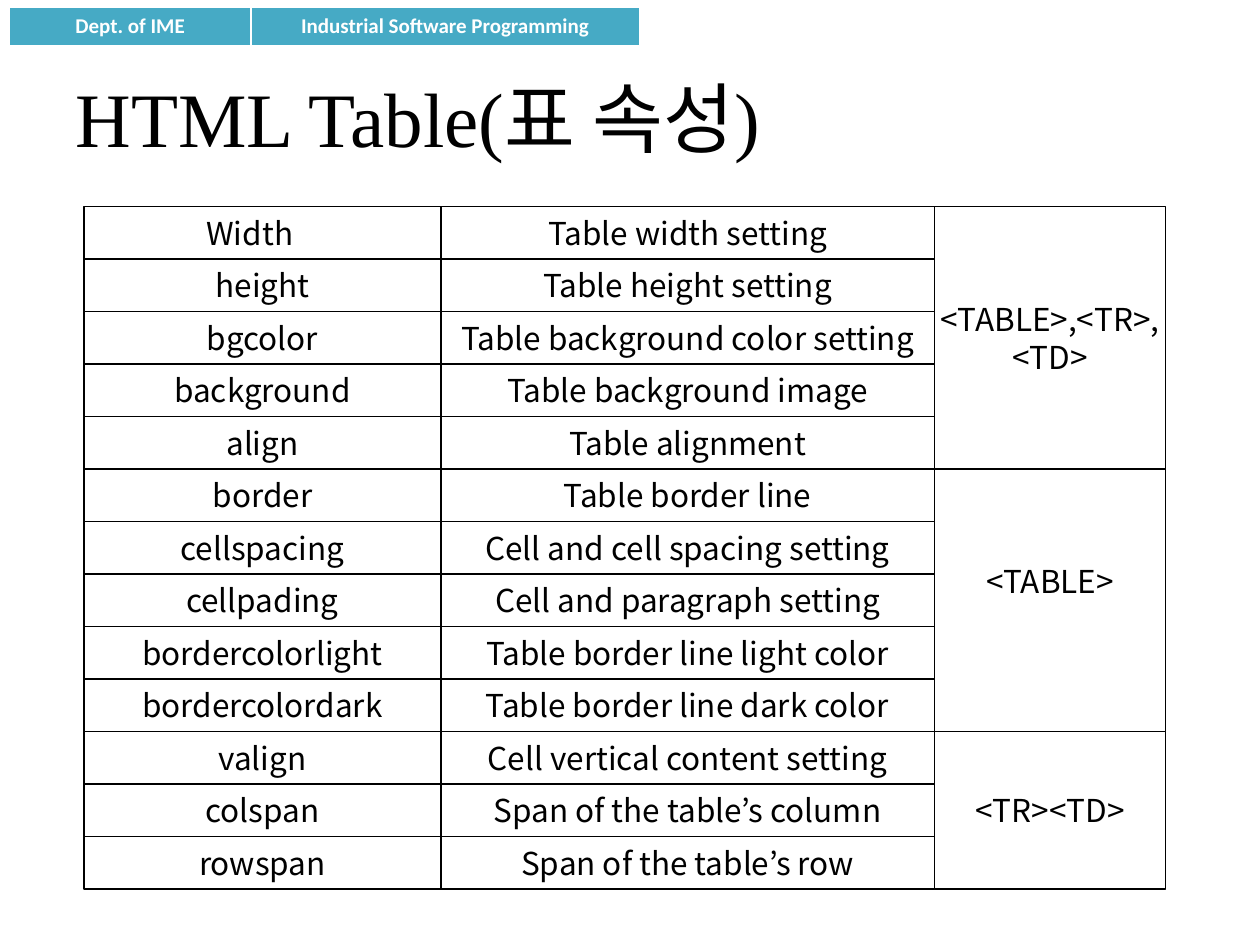
from lxml import etree
from pptx import Presentation
from pptx.dml.color import RGBColor
from pptx.enum import shapes, text
from pptx.oxml.ns import qn
from pptx.util import Pt

# Content
HEADER = ["Dept. of IME", "Industrial Software Programming"]
TITLE = "HTML Table(표 속성)"
ATTRIBUTES = [
    ("Width", "Table width setting"),
    ("height", "Table height setting"),
    ("bgcolor", "Table background color setting"),
    ("background", "Table background image"),
    ("align", "Table alignment"),
    ("border", "Table border line"),
    ("cellspacing", "Cell and cell spacing setting"),
    ("cellpading", "Cell and paragraph setting"),
    ("bordercolorlight", "Table border line light color"),
    ("bordercolordark", "Table border line dark color"),
    ("valign", "Cell vertical content setting"),
    ("colspan", "Span of the table’s column"),
    ("rowspan", "Span of the table’s row"),
]
TAG_GROUPS = [("<TABLE>,<TR>,\n<TD>", 5), ("<TABLE>", 5), ("<TR><TD>", 3)]

# Extra right or bottom inset, in points, for texts set off centre
INSETS = {"Width": {"margin_right": 21.6}, "<TABLE>": {"margin_bottom": 25.2}}

# Format
BLACK = RGBColor(0, 0, 0)
WHITE = RGBColor(255, 255, 255)
TEAL = RGBColor(0x46, 0xAA, 0xC5)
HEADER_FONT = {"name": "Calibri", "size": Pt(12), "bold": True}
TITLE_FONT = {"name": "Times New Roman", "size": Pt(44), "bold": False}
CELL_FONT = {"name": "Noto Sans CJK KR", "size": Pt(18), "bold": False}
LEFT, TOP, ROW_HEIGHT = 48, 118, 30
COLUMN_WIDTHS = [204, 282, 132]
COLUMN_LEFTS = [LEFT + sum(COLUMN_WIDTHS[:i]) for i in range(3)]


def format_text(frame, font, color, alignment):
    frame.vertical_anchor = text.MSO_ANCHOR.MIDDLE
    for paragraph in frame.paragraphs:
        paragraph.alignment = alignment
        for run in paragraph.runs:
            for name, value in font.items():
                setattr(run.font, name, value)
            run.font.color.rgb = color
            east_asian = etree.SubElement(run.font._element, qn("a:ea"))
            east_asian.set("typeface", CELL_FONT["name"])


def add_box(slide, column, row, span, label):
    shape = slide.shapes.add_shape(
        shapes.MSO_SHAPE.RECTANGLE,
        Pt(COLUMN_LEFTS[column]), Pt(TOP + row * ROW_HEIGHT),
        Pt(COLUMN_WIDTHS[column]), Pt(span * ROW_HEIGHT))
    shape.shadow.inherit = False
    shape.fill.solid()
    shape.fill.fore_color.rgb = WHITE
    shape.line.color.rgb = BLACK
    shape.line.width = Pt(0.75)
    frame = shape.text_frame
    frame.word_wrap = False
    frame.text = label
    for name, value in INSETS.get(label, {}).items():
        setattr(frame, name, Pt(value))
    format_text(frame, CELL_FONT, BLACK, text.PP_ALIGN.CENTER)


presentation = Presentation()
presentation.slide_width, presentation.slide_height = Pt(720), Pt(540)
slide = presentation.slides.add_slide(presentation.slide_layouts[5])

# Title
title = slide.shapes.title
title.left, title.top, title.width, title.height = Pt(36), Pt(21.6), Pt(648), Pt(90)
title.text_frame.text = TITLE
format_text(title.text_frame, TITLE_FONT, BLACK, text.PP_ALIGN.LEFT)

# Header band
band = slide.shapes.add_table(1, 2, Pt(5.4), Pt(4.3), Pt(360), Pt(21.6)).table
for column, width, label in zip(range(2), (138, 222), HEADER):
    band.columns[column].width = Pt(width)
    cell = band.cell(0, column)
    cell.fill.solid()
    cell.fill.fore_color.rgb = TEAL
    cell.text = label
    format_text(cell.text_frame, HEADER_FONT, WHITE, text.PP_ALIGN.CENTER)

# Attribute grid
for row, labels in enumerate(ATTRIBUTES):
    for column, label in enumerate(labels):
        add_box(slide, column, row, 1, label)

# Tags that take each group of attributes
first_row = 0
for label, span in TAG_GROUPS:
    add_box(slide, 2, first_row, span, label)
    first_row += span

presentation.save("out.pptx")
